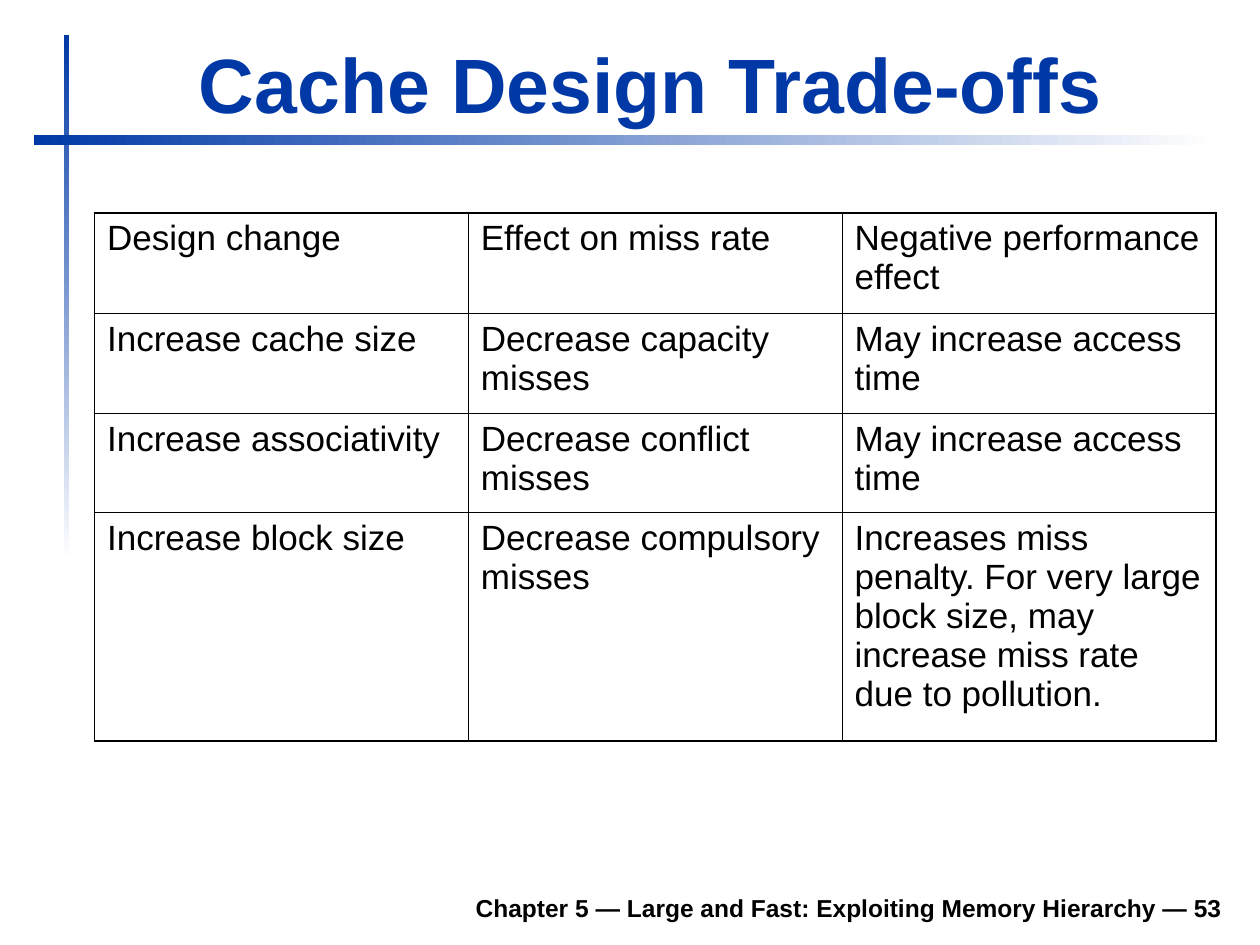
from dataclasses import dataclass

from lxml import etree
from pptx import Presentation
from pptx.dml.color import RGBColor
from pptx.enum.shapes import MSO_SHAPE
from pptx.enum.text import MSO_ANCHOR, PP_ALIGN
from pptx.oxml.ns import qn
from pptx.util import Inches, Pt

RECTANGLE = MSO_SHAPE.RECTANGLE
BOTTOM = MSO_ANCHOR.BOTTOM
LEFT, RIGHT = PP_ALIGN.LEFT, PP_ALIGN.RIGHT


@dataclass(frozen=True)
class Theme:
    font: str = "Arial"
    accent: str = "0039A6"
    text: str = "000000"
    background: str = "FFFFFF"
    title_size: float = 44
    table_size: float = 20
    footer_size: float = 14
    outer_border: float = 1.08
    header_border: float = 0.75
    inner_border: float = 0.45


THEME = Theme()

TRADE_OFFS = [
    ["Design change", "Effect on miss rate", "Negative performance effect"],
    ["Increase cache size", "Decrease capacity misses", "May increase access time"],
    ["Increase associativity", "Decrease conflict misses", "May increase access time"],
    ["Increase block size", "Decrease compulsory misses",
     "Increases miss penalty. For very large block size, "
     "may increase miss rate due to pollution."],
]
ROW_HEIGHTS = [0.8, 0.79, 0.79, 1.81]


def style_text(text_frame, size, color, bold=False, alignment=LEFT):
    for paragraph in text_frame.paragraphs:
        paragraph.alignment = alignment
        for run in paragraph.runs:
            run.font.name = THEME.font
            run.font.size = Pt(size)
            run.font.bold = bold
            run.font.color.rgb = RGBColor.from_string(color)


def add_fading_bar(slide, box, angle):
    bar = slide.shapes.add_shape(RECTANGLE, *map(Inches, box))
    bar.shadow.inherit = False
    bar.line.fill.background()
    bar.fill.gradient()
    bar.fill.gradient_angle = angle
    for stop, color in zip(bar.fill.gradient_stops, (THEME.accent, THEME.background)):
        stop.color.rgb = RGBColor.from_string(color)


def add_bold_line(slide, box, text, size, color, alignment):
    text_frame = slide.shapes.add_textbox(*map(Inches, box)).text_frame
    text_frame.word_wrap = True
    text_frame.vertical_anchor = BOTTOM
    text_frame.text = text
    style_text(text_frame, size, color, True, alignment)


def set_borders(cell, widths):
    properties = cell._tc.get_or_add_tcPr()
    for index, (side, width) in enumerate(widths.items()):
        line = etree.Element(qn(f"a:ln{side}"), w=str(int(Pt(width))))
        fill = etree.SubElement(line, qn("a:solidFill"))
        etree.SubElement(fill, qn("a:srgbClr"), val=THEME.text)
        properties.insert(index, line)


def add_trade_off_table(slide, box, rows, row_heights):
    row_count, column_count = len(rows), len(rows[0])
    table = slide.shapes.add_table(row_count, column_count, *map(Inches, box)).table
    table.first_row = table.horz_banding = False
    for column in table.columns:
        column.width = Inches(box[2] / column_count)
    for row, height in zip(table.rows, row_heights):
        row.height = Inches(height)

    outer, inner = THEME.outer_border, THEME.inner_border
    row_lines = [outer, THEME.header_border] + [inner] * (row_count - 2) + [outer]
    column_lines = [outer] + [inner] * (column_count - 1) + [outer]
    for row_index, row in enumerate(rows):
        for column_index, text in enumerate(row):
            cell = table.cell(row_index, column_index)
            cell.fill.background()
            cell.text_frame.text = text
            style_text(cell.text_frame, THEME.table_size, THEME.text)
            set_borders(cell, {
                "L": column_lines[column_index],
                "R": column_lines[column_index + 1],
                "T": row_lines[row_index],
                "B": row_lines[row_index + 1],
            })


def main():
    presentation = Presentation()
    presentation.slide_width = Inches(10)
    presentation.slide_height = Inches(7.5)
    slide = presentation.slides.add_slide(presentation.slide_layouts[6])

    add_fading_bar(slide, (0.51, 0.28, 0.04, 4.17), 270)
    add_fading_bar(slide, (0.27, 1.07, 9.37, 0.08), 0)
    add_bold_line(slide, (1.85, 6.98, 7.95, 0.39),
                  "Chapter 5 — Large and Fast: Exploiting Memory Hierarchy — 53",
                  THEME.footer_size, THEME.text, RIGHT)
    add_bold_line(slide, (1.48, 0.23, 8.52, 0.84), "Cache Design Trade-offs",
                  THEME.title_size, THEME.accent, LEFT)
    add_trade_off_table(slide, (0.75, 1.69, 8.9, sum(ROW_HEIGHTS)),
                        TRADE_OFFS, ROW_HEIGHTS)
    presentation.save("out.pptx")


if __name__ == "__main__":
    main()
